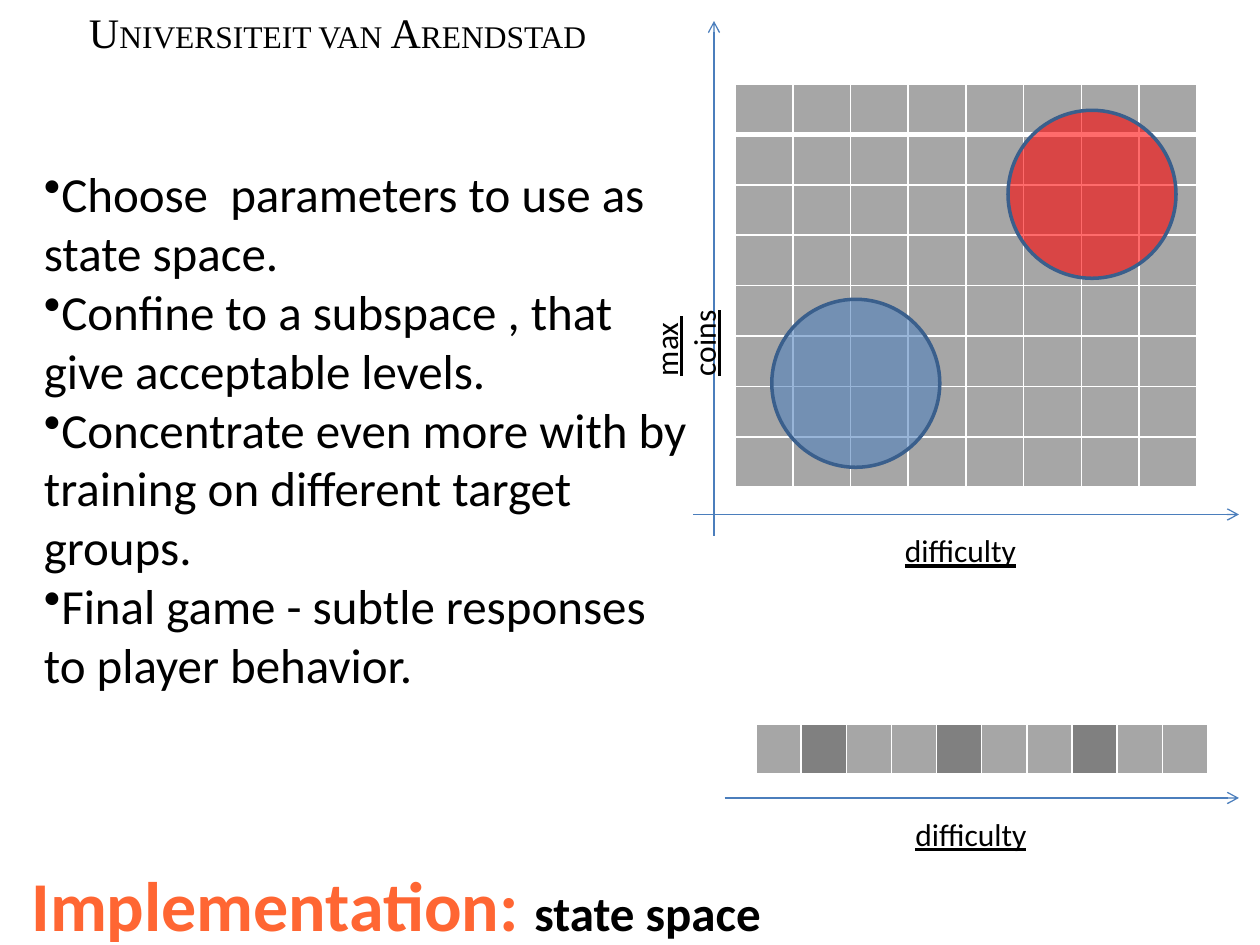
"""Build the state space slide on a grid of 120 columns by 90 rows."""
from lxml.etree import SubElement
from pptx import Presentation
from pptx.dml.color import RGBColor
from pptx.enum.shapes import MSO_CONNECTOR, MSO_SHAPE
from pptx.enum.text import MSO_ANCHOR, MSO_AUTO_SIZE
from pptx.oxml.ns import qn
from pptx.util import Inches, Pt


def paint(fill, color):
    fill.solid()
    fill.fore_color.rgb = RGBColor.from_string(color)


def add_text(box, paragraphs, font_name="Calibri", bold=False, underline=False):
    frame = slide.shapes.add_textbox(*[unit * value for value in box]).text_frame
    frame.word_wrap = True
    for index, runs in enumerate(paragraphs):
        paragraph = frame.paragraphs[0] if index == 0 else frame.add_paragraph()
        paragraph.font.name = font_name
        paragraph.font.bold = bold
        paragraph.font.underline = underline
        for text, size, color in runs:
            run = paragraph.add_run()
            run.text = text
            run.font.size = Pt(size)
            paint(run.font.fill, color)
    return frame


presentation = Presentation()
presentation.slide_width = Inches(10)
presentation.slide_height = Inches(7.5)
unit = presentation.slide_width // 120
slide = presentation.slides.add_slide(presentation.slide_layouts[6])

title = add_text((3, 79, 114, 14), [[("Implementation: ", 40, "FF6633"), ("state space", 28, "000000")]], bold=True)
title.vertical_anchor = MSO_ANCHOR.MIDDLE
title.margin_left = title.margin_right = title.margin_top = title.margin_bottom = 0

name_parts = [("U", 24), ("NIVERSITEIT VAN ", 18), ("A", 24), ("RENDSTAD", 18)]
add_text((7.3, 0, 53, 6), [[(text, size, "000000") for text, size in name_parts]], "Times New Roman")

state_tables = [
    ((70, 8, 44, 38.4), 8, 8, []),
    ((72, 69, 43, 4.8), 1, 10, [1, 4, 7]),
]
for box, row_count, column_count, dark_columns in state_tables:
    left, top, width, height = [int(unit * value) for value in box]
    table = slide.shapes.add_table(row_count, column_count, left, top, width, height).table
    table.first_row = table.horz_banding = False
    for row in range(row_count):
        for column in range(column_count):
            cell = table.cell(row, column)
            cell.margin_top = cell.margin_bottom = 0
            properties = cell._tc.get_or_add_tcPr()
            border_widths = {"L": 1, "R": 1, "T": 3 if row == 1 else 1, "B": 3 if row == 0 else 1}
            for side, border_width in border_widths.items():
                border = SubElement(properties, qn(f"a:ln{side}"), w=str(Pt(border_width)))
                SubElement(SubElement(border, qn("a:solidFill")), qn("a:srgbClr"), val="FFFFFF")
            paint(cell.fill, "808080" if column in dark_columns else "A6A6A6")

for ends in [(68, 51, 68, 2), (66, 49, 118, 49), (69, 76, 118, 76)]:
    axis = slide.shapes.add_connector(MSO_CONNECTOR.STRAIGHT, *[unit * value for value in ends])
    axis.line.width = Pt(0.75)
    paint(axis.line.fill, "4B7EBC")
    SubElement(axis.line._get_or_add_ln(), qn("a:tailEnd"), type="arrow")
    SubElement(axis._element.spPr, qn("a:effectLst"))

for left, top in [(85, 50), (86, 77)]:
    add_text((left, top, 14, 4.8), [[("difficulty", 18, "000000")]], underline=True)

coins = add_text((61, 22, 6, 15), [[("max  coins", 18, "000000")]], underline=True)
coins.auto_size = MSO_AUTO_SIZE.SHAPE_TO_FIT_TEXT
coins._txBody.bodyPr.set("vert", "vert270")

steps = [
    "Choose  parameters to use as state space.",
    "Confine to a subspace , that give acceptable levels.",
    "Concentrate even more with by training on different target groups.",
    "Final game - subtle responses to player behavior.",
]
step_list = add_text((3, 15, 64, 52), [[(step, 28, "000000")] for step in steps])
for paragraph in step_list.paragraphs:
    bullet_properties = paragraph._p.get_or_add_pPr()
    bullet = bullet_properties.makeelement(qn("a:buChar"), {"char": "•"})
    bullet_properties.insert(0, bullet)

for left, top, color in [(73.5, 28.5, "4F81BD"), (96, 10.5, "FF0000")]:
    region = slide.shapes.add_shape(MSO_SHAPE.OVAL, *[int(unit * value) for value in (left, top, 16, 16)])
    region.shadow.inherit = False
    paint(region.fill, color)
    fill_color = region._element.spPr.find(qn("a:solidFill")).find(qn("a:srgbClr"))
    SubElement(fill_color, qn("a:alpha"), val="58000")
    region.line.width = Pt(2)
    paint(region.line.fill, "3A5F8C")

presentation.save("out.pptx")
